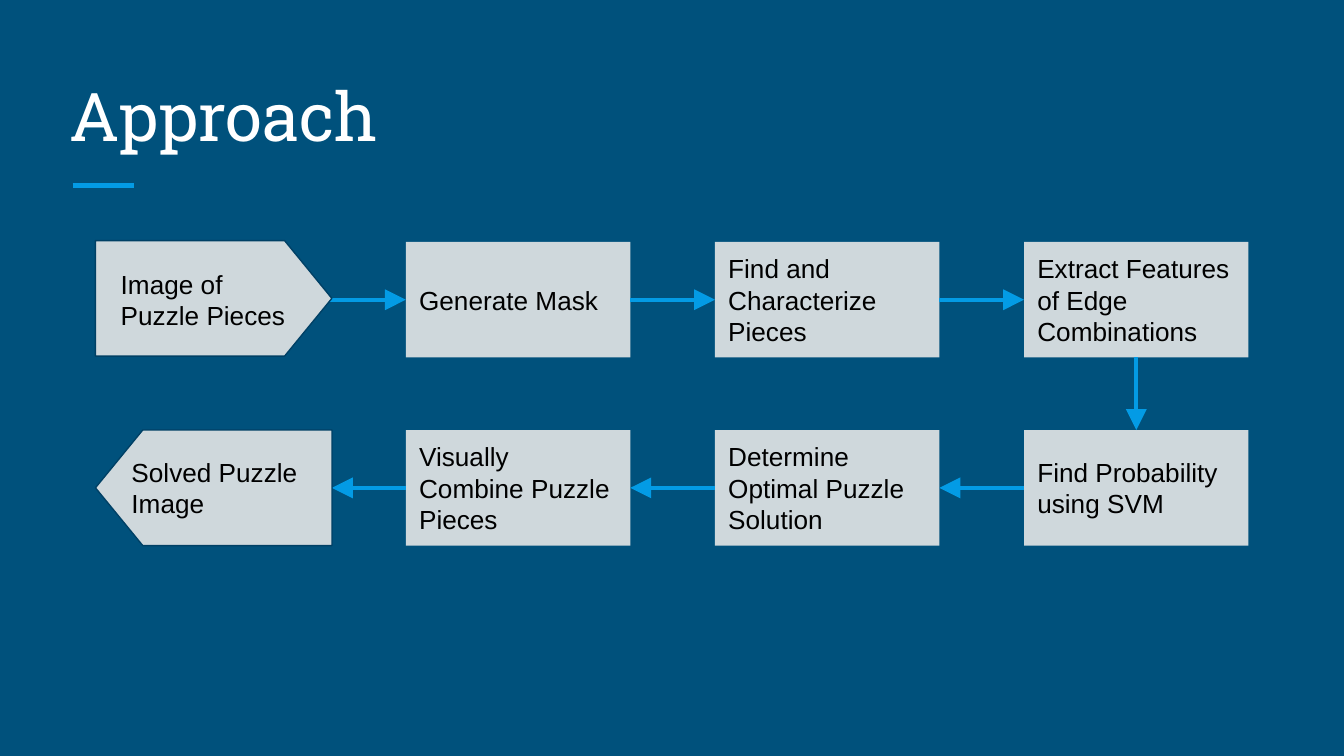
from dataclasses import dataclass

from lxml import etree
from pptx import Presentation
from pptx.dml.color import RGBColor
from pptx.enum import shapes as kinds, text as txt
from pptx.oxml import ns
from pptx.util import Inches, Pt

HUES = {
    "back": "00517C",
    "blue": "039BE5",
    "box": "CFD8DC",
    "edge": "004065",
    "white": "FFFFFF",
    "black": "000000",
}
LEFT, STEP, WIDE, HIGH = 3.02, 2.3, 1.67, 0.86
TOPS = (1.8, 3.2)
TAG = 1.76


@dataclass
class Box:
    label: str
    col: int
    row: int


@dataclass
class Tag:
    label: str
    top: float
    turn: int
    inset: float
    line: float


BOXES = [
    Box("Generate Mask", 0, 0),
    Box("Find and Characterize Pieces", 1, 0),
    Box("Extract Features of Edge Combinations", 2, 0),
    Box("Find Probability using SVM", 2, 1),
    Box("Determine Optimal Puzzle Solution", 1, 1),
    Box("Visually Combine Puzzle Pieces", 0, 1),
]
TAGS = [
    Tag("Image of Puzzle Pieces", 1.34, 270, 0.8, 1.98),
    Tag("Solved Puzzle Image", 2.75, 90, 0.88, 3.38),
]
SITES = [(3, 1), (3, 1), (2, 0), (1, 3), (1, 3)]


def hue(name: str) -> RGBColor:
    return RGBColor.from_string(HUES[name])


def write(shape, label: str, size: float = 14, font: str = "Arial",
          tone: str = "black", anchor=txt.MSO_ANCHOR.MIDDLE) -> None:
    frame = shape.text_frame
    frame.text = label
    frame.word_wrap = True
    frame.vertical_anchor = anchor
    for side in ("left", "right", "top", "bottom"):
        setattr(frame, f"margin_{side}", Inches(0.1))
    para = frame.paragraphs[0]
    para.alignment = txt.PP_ALIGN.LEFT
    for run in para.runs:
        run.font.size = Pt(size)
        run.font.name = font
        run.font.color.rgb = hue(tone)


def place(slide, x: float, y: float, w: float, h: float):
    return slide.shapes.add_textbox(Inches(x), Inches(y), Inches(w), Inches(h))


def block(slide, kind, x: float, y: float, w: float, h: float):
    shape = slide.shapes.add_shape(kind, Inches(x), Inches(y), Inches(w), Inches(h))
    shape.shadow.inherit = False
    shape.fill.solid()
    shape.fill.fore_color.rgb = hue("box")
    shape.line.fill.background()
    return shape


def draw_box(slide, box: Box):
    shape = block(slide, kinds.MSO_SHAPE.RECTANGLE, LEFT + box.col * STEP,
                  TOPS[box.row], WIDE, HIGH)
    write(shape, box.label)
    return shape


def draw_tag(slide, tag: Tag) -> None:
    shape = block(slide, kinds.MSO_SHAPE.FLOWCHART_OFFPAGE_CONNECTOR,
                  1.16, tag.top, HIGH, TAG)
    shape.rotation = tag.turn
    shape.line.color.rgb = hue("edge")
    shape.line.width = Pt(0.75)
    write(place(slide, tag.inset, tag.line, 1.59, 0.5), tag.label)


def rule(slide, x: float, y: float, end: float, width: float):
    line = slide.shapes.add_connector(kinds.MSO_CONNECTOR.STRAIGHT, Inches(x),
                                      Inches(y), Inches(end), Inches(y))
    line.line.color.rgb = hue("blue")
    line.line.width = Pt(width)
    etree.SubElement(line._element.spPr, ns.qn("a:effectLst"))
    return line


def arrow(slide, x: float, y: float, end: float):
    line = rule(slide, x, y, end, 2.25)
    etree.SubElement(line.line._get_or_add_ln(), ns.qn("a:tailEnd"),
                     type="triangle", w="lg", len="lg")
    return line


def main() -> None:
    deck = Presentation()
    deck.slide_width, deck.slide_height = Inches(10), Inches(10 * 9 / 16)
    slide = deck.slides.add_slide(deck.slide_layouts[6])
    slide.background.fill.solid()
    slide.background.fill.fore_color.rgb = hue("back")

    rule(slide, 0.54, 1.38, 1, 3)
    write(place(slide, 0.42, 0.5, 9.15, 0.75), "Approach", 36, "Roboto Slab",
          "white", txt.MSO_ANCHOR.BOTTOM)

    steps = [draw_box(slide, box) for box in BOXES]
    for start, stop, (out, into) in zip(steps, steps[1:], SITES):
        line = arrow(slide, 0, 0, 1)
        line.begin_connect(start, out)
        line.end_connect(stop, into)
    arrow(slide, 2.39, 2.23, LEFT).end_connect(steps[0], 1)
    arrow(slide, LEFT, 3.63, 2.47).begin_connect(steps[-1], 1)
    for tag in TAGS:
        draw_tag(slide, tag)
    deck.save("out.pptx")


if __name__ == "__main__":
    main()
